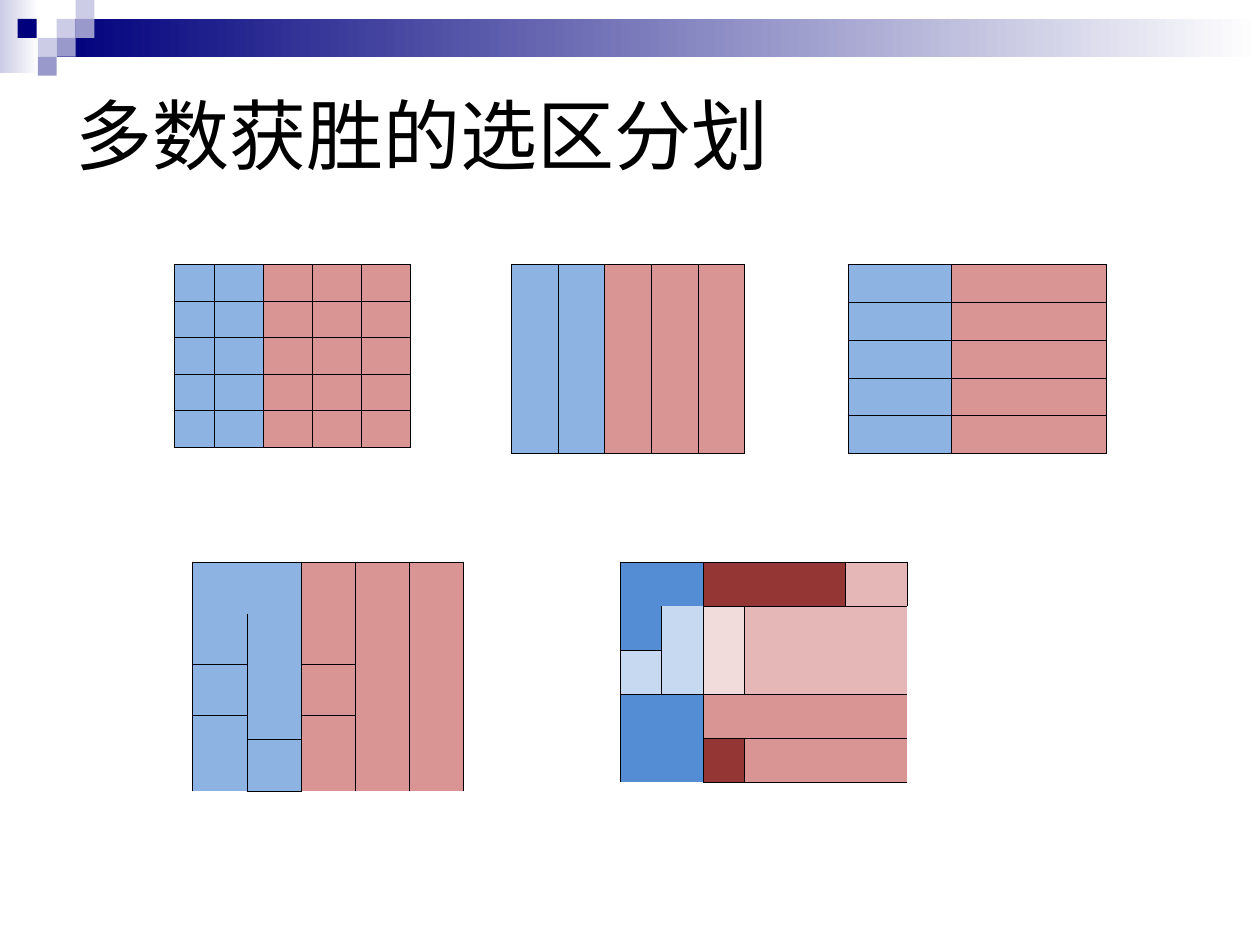
"""Build a slide of tables showing how districts can be drawn for a majority."""
from itertools import product

from lxml.etree import SubElement
from pptx import Presentation
from pptx.dml.color import RGBColor
from pptx.enum.shapes import MSO_SHAPE
from pptx.enum.text import MSO_ANCHOR, PP_ALIGN
from pptx.oxml.ns import qn
from pptx.util import Inches, Pt

BLACK = RGBColor(0x00, 0x00, 0x00)
WHITE = RGBColor(0xFF, 0xFF, 0xFF)
NAVY = RGBColor(0x00, 0x00, 0x7D)
LAVENDER = RGBColor(0xCC, 0xCC, 0xE6)
VIOLET = RGBColor(0x99, 0x99, 0xCC)
BLUE = RGBColor(0x8D, 0xB3, 0xE2)
DEEP_BLUE = RGBColor(0x54, 0x8D, 0xD4)
PALE_BLUE = RGBColor(0xC6, 0xD9, 0xF1)
RED = RGBColor(0xD9, 0x95, 0x94)
DEEP_RED = RGBColor(0x94, 0x36, 0x34)
ROSE = RGBColor(0xE5, 0xB8, 0xB7)
PALE_ROSE = RGBColor(0xF2, 0xDB, 0xDB)
NO_STYLE = "{2D5ABB26-0587-4C30-8999-92F81FD0307C}"

SQUARES = [
    (0.45, 0.15, LAVENDER), (0.6, 0, LAVENDER), (0.6, 0.15, VIOLET),
    (0.3, 0.3, LAVENDER), (0.14, 0.15, NAVY), (0.45, 0.3, VIOLET),
    (0.3, 0.45, VIOLET),
]
MIXED_DISTRICTS = [
    (0, 0, 1, 2, BLUE, "LTR"), (1, 0, 1, 1, BLUE, "LRB"),
    (1, 1, 3, 1, BLUE, "RB"), (2, 0, 1, 1, BLUE, "LTB"),
    (3, 0, 2, 1, BLUE, "LTRB"), (4, 1, 1, 1, BLUE, "LTRB"),
    (0, 2, 2, 1, RED, "LTRB"), (2, 2, 1, 1, RED, "LTRB"),
    (3, 2, 2, 1, RED, "LTRB"), (0, 3, 5, 1, RED, "LTRB"),
    (0, 4, 5, 1, RED, "LTRB"),
]
WINDING_DISTRICTS = [
    (0, 0, 1, 2, DEEP_BLUE, "LTR"), (0, 2, 1, 2, DEEP_RED, "LTRB"),
    (0, 4, 1, 1, ROSE, "LTR"), (1, 0, 1, 1, DEEP_BLUE, "LRB"),
    (1, 1, 2, 1, PALE_BLUE, "RB"), (1, 2, 2, 1, PALE_ROSE, "LTRB"),
    (1, 3, 2, 2, ROSE, "LRB"), (2, 0, 1, 1, PALE_BLUE, "LTB"),
    (3, 0, 2, 2, DEEP_BLUE, "LTRB"), (3, 2, 1, 3, RED, "LTR"),
    (4, 2, 1, 1, DEEP_RED, "LTRB"), (4, 3, 1, 2, RED, "LRB"),
]


def write_text(frame, text, *, size, color, font="Arial", align=PP_ALIGN.LEFT):
    """Put one formatted paragraph in a text frame."""
    para = frame.paragraphs[0]
    para.alignment = align
    span = para.add_run()
    span.text = text
    span.font.size = Pt(size)
    span.font.name = font
    span.font.color.rgb = color


def plain_grid(row_count, colors):
    """List single-cell districts with one colour per column."""
    return [(row, column, 1, 1, color, "LTRB")
            for row in range(row_count) for column, color in enumerate(colors)]


def format_cell(cell, color, sides):
    """Fill a cell and line the given sides in black."""
    cell.margin_left = cell.margin_right = 0
    cell.margin_top = cell.margin_bottom = 0
    SubElement(cell.text_frame.paragraphs[0]._p, qn("a:endParaRPr"), sz="600")
    properties = cell._tc.get_or_add_tcPr()
    for side in "LRTB":
        if side in sides:
            line = SubElement(properties, qn(f"a:ln{side}"), w=str(Pt(0.45)))
            fill = SubElement(line, qn("a:solidFill"))
            SubElement(fill, qn("a:srgbClr"), val=str(BLACK))
    cell.fill.solid()
    cell.fill.fore_color.rgb = color


class SlideBuilder:
    """Add styled elements to the current slide."""

    def __init__(self, slide):
        """Keep the slide to build on."""
        self.slide = slide

    def title(self, text, left, top, width, height):
        """Place and fill the title placeholder."""
        box = self.slide.shapes.title
        box.left, box.top = Inches(left), Inches(top)
        box.width, box.height = Inches(width), Inches(height)
        box.text_frame.vertical_anchor = MSO_ANCHOR.MIDDLE
        write_text(box.text_frame, text, size=44, color=BLACK)

    def rectangle(self, left, top, width, height, color, fade_to=None):
        """Add a borderless rectangle, solid or fading to the right."""
        shape = self.slide.shapes.add_shape(
            MSO_SHAPE.RECTANGLE,
            Inches(left), Inches(top), Inches(width), Inches(height))
        shape.shadow.inherit = False
        shape.line.fill.background()
        if fade_to is None:
            shape.fill.solid()
            shape.fill.fore_color.rgb = color
            return
        shape.fill.gradient()
        shape.fill.gradient_angle = 0
        for stop, stop_color in zip(shape.fill.gradient_stops, (color, fade_to)):
            stop.color.rgb = stop_color

    def district_table(self, left, top, widths, heights, districts):
        """Add a table whose cells are merged and lined by district."""
        table = self.slide.shapes.add_table(
            len(heights), len(widths), Inches(left), Inches(top),
            Inches(sum(widths)), Inches(sum(heights))).table
        table.first_row = table.horz_banding = False
        table._tbl.tblPr.find(qn("a:tableStyleId")).text = NO_STYLE
        for column, width in zip(table.columns, widths):
            column.width = Inches(width)
        for row, height in zip(table.rows, heights):
            row.height = Inches(height)
        for top_row, left_column, row_span, column_span, color, sides in districts:
            last_row = top_row + row_span - 1
            last_column = left_column + column_span - 1
            if row_span * column_span > 1:
                table.cell(top_row, left_column).merge(
                    table.cell(last_row, last_column))
            for row, column in product(range(top_row, last_row + 1),
                                       range(left_column, last_column + 1)):
                edges = {"L": column == left_column, "R": column == last_column,
                         "T": row == top_row, "B": row == last_row}
                format_cell(table.cell(row, column), color,
                            [side for side in sides if edges[side]])


def main():
    """Build and save the deck."""
    deck = Presentation()
    deck.slide_width, deck.slide_height = Inches(10), Inches(7.5)
    page = SlideBuilder(deck.slides.add_slide(deck.slide_layouts[5]))

    page.rectangle(0, 0, 0.31, 0.58, LAVENDER, fade_to=WHITE)
    page.rectangle(0.45, 0.15, 9.55, 0.3, NAVY, fade_to=WHITE)
    for left, top, color in SQUARES:
        page.rectangle(left, top, 0.15, 0.15, color)
    page.title("多数获胜的选区分划", 0.5, 0.5, 6.78, 1.12)

    five_colors = [BLUE] * 2 + [RED] * 3
    page.district_table(1.38, 2.1, [0.32] + [0.39] * 4, [0.29] * 5,
                        plain_grid(5, five_colors))
    page.district_table(1.53, 4.46, [0.43] * 5, [0.41, 0.4, 0.41, 0.19, 0.41],
                        MIXED_DISTRICTS)
    page.district_table(4.06, 2.1, [0.37] * 5, [1.5],
                        plain_grid(1, five_colors))
    page.district_table(6.73, 2.1, [0.82, 1.23], [0.3] * 5,
                        plain_grid(5, [BLUE, RED]))
    page.district_table(4.92, 4.46, [0.33, 0.33, 0.33, 0.8, 0.49], [0.35] * 5,
                        WINDING_DISTRICTS)
    deck.save("out.pptx")


if __name__ == "__main__":
    main()
